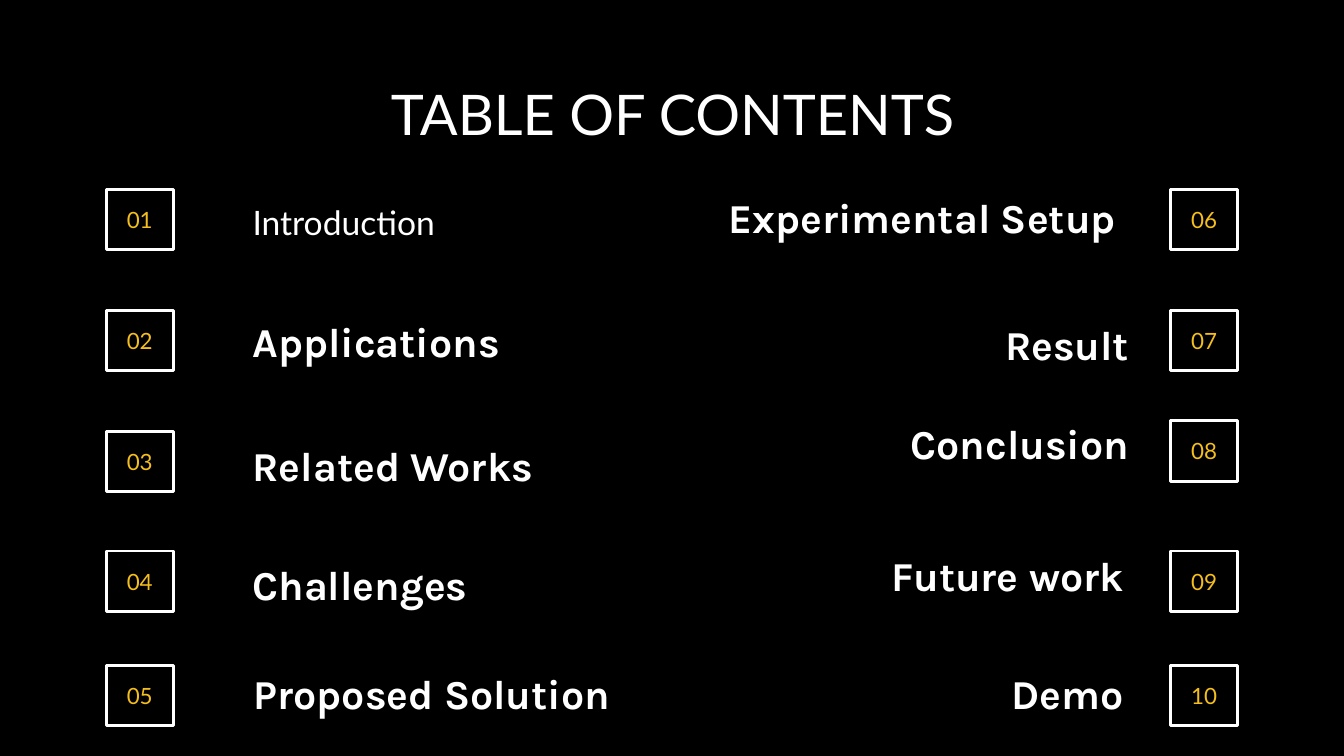
from pptx import Presentation
from pptx.dml.color import RGBColor
from pptx.enum import shapes, text
from pptx.util import Pt

THEME = {
    "bg": RGBColor(0x00, 0x00, 0x00),
    "fg": RGBColor(0xFF, 0xFF, 0xFF),
    "accent": RGBColor(0xF4, 0xBE, 0x1E),
    "title_size": 30,
    "label_size": 22,
    "plain_size": 18,
    "number_size": 12,
    "plain_font": "Lato",
    "bold_font": "Karla",
}
ALIGN = text.PP_ALIGN
ANCHOR = text.MSO_ANCHOR


def put_text(sp, words, font, size, color, align, anchor, bold=False, spacing=None):
    """Fill a shape with one formatted line of text."""
    tf = sp.text_frame
    tf.word_wrap = True
    tf.auto_size = text.MSO_AUTO_SIZE.NONE
    tf.vertical_anchor = anchor
    tf.margin_left = tf.margin_right = tf.margin_top = tf.margin_bottom = Pt(7.2)
    p = tf.paragraphs[0]
    p.alignment = align
    p.space_before = Pt(0)
    if spacing:
        p.line_spacing = spacing
    r = p.add_run()
    r.text = words
    r.font.name = font
    r.font.size = Pt(size)
    r.font.bold = bold
    r.font.color.rgb = color


prs = Presentation()
prs.slide_width, prs.slide_height = Pt(720), Pt(405)
s = prs.slides.add_slide(prs.slide_layouts[5])
s.background.fill.solid()
s.background.fill.fore_color.rgb = THEME["bg"]

# Title
title = s.shapes.title
title.left, title.top, title.width, title.height = Pt(56.9), Pt(35.3), Pt(607), Pt(45.4)
put_text(title, "TABLE OF CONTENTS", THEME["plain_font"], THEME["title_size"],
         THEME["fg"], ALIGN.CENTER, ANCHOR.TOP)

# Entries: label, label left, label top, number box top, line spacing
left_entries = [
    ("Introduction", 128.2, 98.6, 101.5, None),
    ("Applications", 128.2, 164.9, 166.3, None),
    ("Related Works", 128.2, 231.1, 231.1, 1.15),
    ("Challenges", 128.2, 295.2, 295.2, 1.15),
    ("Proposed Solution", 128.9, 353.5, 356.4, 1.15),
]
right_entries = [
    ("Experimental Setup", 373.7, 98.6, 101.5, None),
    ("Result", 380.9, 166.3, 166.3, None),
    ("Conclusion", 380.9, 219.6, 225.4, None),
    ("Future work", 378, 290.2, 295.2, None),
    ("Demo", 378, 353.5, 356.4, None),
]
columns = [(56.9, ALIGN.LEFT, left_entries), (627.1, ALIGN.RIGHT, right_entries)]

number = 0
for box_left, align, entries in columns:
    for label, label_left, label_top, box_top, spacing in entries:
        number += 1

        # Number box
        sp = s.shapes.add_shape(shapes.MSO_SHAPE.RECTANGLE,
                                Pt(box_left), Pt(box_top), Pt(36), Pt(32.4))
        sp.shadow.inherit = False
        sp.fill.background()
        sp.line.color.rgb = THEME["fg"]
        sp.line.width = Pt(1.5)
        put_text(sp, f"{number:02d}", THEME["plain_font"], THEME["number_size"],
                 THEME["accent"], ALIGN.CENTER, ANCHOR.MIDDLE)

        # Label; the first entry is set in the lighter face
        bold = number > 1
        font = THEME["bold_font" if bold else "plain_font"]
        size = THEME["label_size" if bold else "plain_size"]
        tb = s.shapes.add_textbox(Pt(label_left), Pt(label_top), Pt(231.1), Pt(38.2))
        put_text(tb, label, font, size, THEME["fg"], align, ANCHOR.BOTTOM, bold, spacing)

prs.save("out.pptx")
